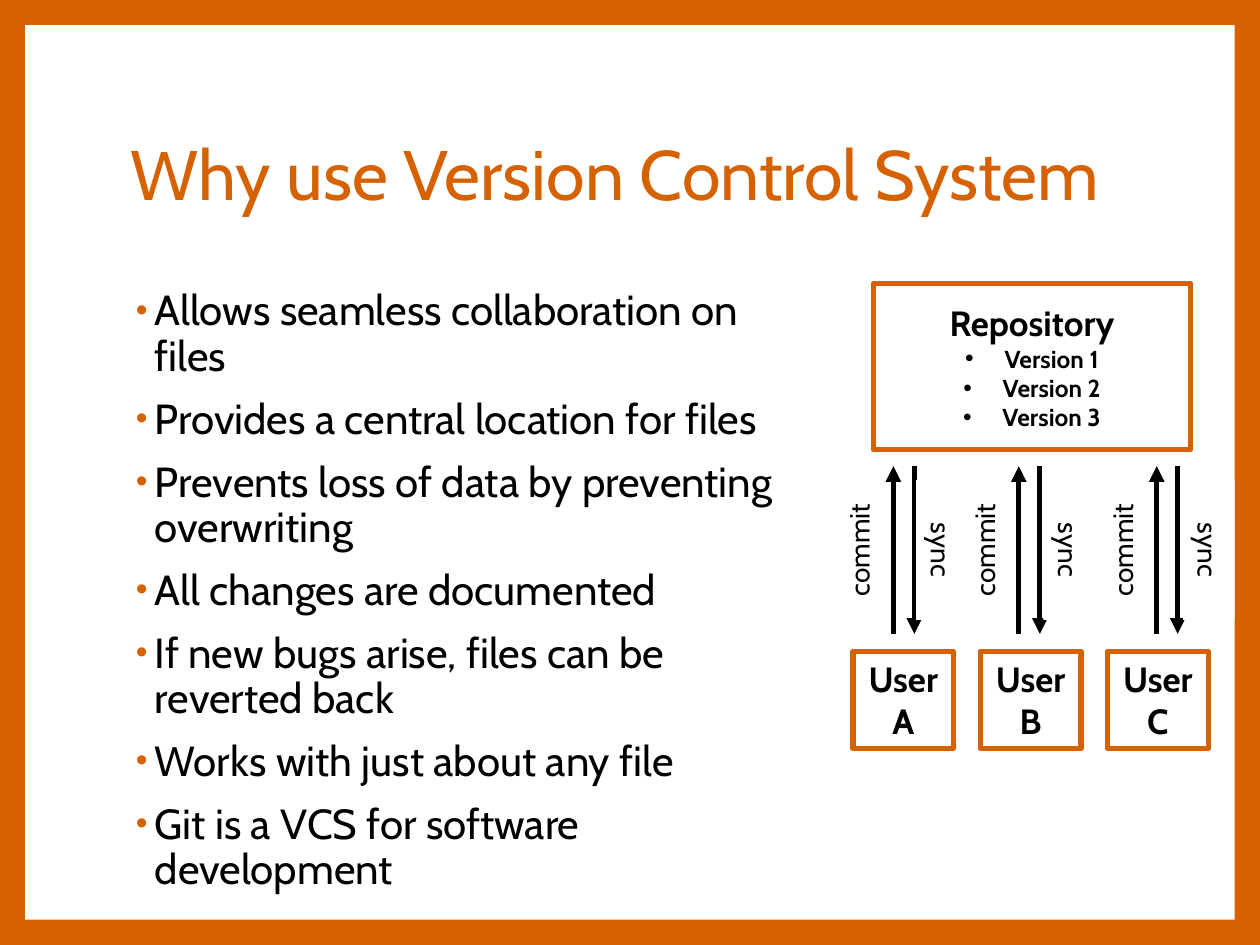
from lxml import etree
from pptx import Presentation
from pptx.dml.color import RGBColor
from pptx.enum.shapes import MSO_CONNECTOR, MSO_SHAPE
from pptx.enum.text import MSO_ANCHOR, PP_ALIGN
from pptx.oxml.ns import qn
from pptx.util import Pt

FONT = "Cabin"
ORANGE, WHITE, BLACK = "D66100", "FFFFFF", "000000"

REASONS = [
    "Allows seamless collaboration on files",
    "Provides a central location for files",
    "Prevents loss of data by preventing overwriting",
    "All changes are documented",
    "If new bugs arise, files can be reverted back",
    "Works with just about any file",
    "Git is a VCS for software development",
]
VERSIONS = ["Version 1", "Version 2", "Version 3"]
# User name, x of the commit arrow, left of the sync label
USERS = [("User A", 510.5, 523.5), ("User B", 582.2, 596.2), ("User C", 661, 676)]


def color(value):
    return RGBColor.from_string(value)


def style(para, size, ink=BLACK, bold=False, align=PP_ALIGN.LEFT):
    para.alignment = align
    font = para.font
    font.name, font.size, font.bold = FONT, Pt(size), bold
    font.color.rgb = color(ink)


def add_bullet(para, indent, hanging, ink=None, percent=None):
    props = para._p.get_or_add_pPr()
    props.set("marL", str(Pt(indent)))
    props.set("indent", str(-Pt(hanging)))
    if ink:
        tint = etree.SubElement(props, qn("a:buClr"))
        etree.SubElement(tint, qn("a:srgbClr"), val=ink)
    if percent:
        etree.SubElement(props, qn("a:buSzPct"), val=str(percent * 1000))
    etree.SubElement(props, qn("a:buFont"), typeface="Arial")
    etree.SubElement(props, qn("a:buChar"), char="•")


def add_text(page, box, anchor=MSO_ANCHOR.TOP):
    frame = page.shapes.add_textbox(*map(Pt, box)).text_frame
    frame.word_wrap = True
    frame.vertical_anchor = anchor
    return frame


def add_panel(page, box, text="", size=20, bold=True, outline=ORANGE):
    panel = page.shapes.add_shape(MSO_SHAPE.RECTANGLE, *map(Pt, box))
    panel.shadow.inherit = False
    panel.fill.solid()
    panel.fill.fore_color.rgb = color(WHITE)
    if outline:
        panel.line.color.rgb = color(outline)
        panel.line.width = Pt(3)
    else:
        panel.line.fill.background()
    frame = panel.text_frame
    frame.word_wrap = True
    frame.vertical_anchor = MSO_ANCHOR.MIDDLE
    para = frame.paragraphs[0]
    para.text = text
    style(para, size, bold=bold, align=PP_ALIGN.CENTER)
    return frame


def add_label(page, box, text, direction):
    frame = add_panel(page, box, text, size=16, bold=False, outline=None)
    frame._txBody.bodyPr.set("vert", direction)


def add_arrow(page, x, start, end):
    arrow = page.shapes.add_connector(
        MSO_CONNECTOR.STRAIGHT, Pt(x), Pt(start), Pt(x), Pt(end))
    arrow.line.color.rgb = color(BLACK)
    arrow.line.width = Pt(3)
    etree.SubElement(arrow.line._get_or_add_ln(), qn("a:tailEnd"), type="triangle")
    etree.SubElement(arrow._element.spPr, qn("a:effectLst"))


def add_title(page, box):
    para = add_text(page, box, MSO_ANCHOR.MIDDLE).paragraphs[0]
    para.text = "Why use Version Control System"
    para.line_spacing = 0.9
    style(para, 40, ORANGE)


def add_reasons(page, box):
    frame = add_text(page, box)
    for index, reason in enumerate(REASONS):
        para = frame.add_paragraph() if index else frame.paragraphs[0]
        para.text = reason
        para.line_spacing = 0.9
        if index:
            para.space_before = Pt(10)
        add_bullet(para, 13.7, 10.8, ORANGE, 80)
        style(para, 24)


def add_repository(page, box):
    frame = add_panel(page, box, "Repository")
    for version in VERSIONS:
        para = frame.add_paragraph()
        para.text = version
        add_bullet(para, 22.5, 22.5)
        style(para, 14, bold=True, align=PP_ALIGN.CENTER)


def add_users(page, box):
    left, top, width, height = box
    user_width, user_height = 57.6, 55.4
    pitch = (width - user_width) / (len(USERS) - 1)
    arrow_top, arrow_bottom = top, top + 95.8
    label_top, label_width, label_height = top + 7.9, 29.5, 79.9
    for index, (name, commit_x, sync_left) in enumerate(USERS):
        # Arrows to and from the repository
        add_arrow(page, commit_x + 12, arrow_top, arrow_bottom)
        add_arrow(page, commit_x, arrow_bottom, arrow_top)
        # User box
        add_panel(page, (left + index * pitch, top + height - user_height,
                         user_width, user_height), name)
        # Labels beside the arrows
        for text, label_left, direction in (("commit", commit_x - 34.7, "vert270"),
                                            ("sync", sync_left, "vert")):
            add_label(page, (label_left, label_top, label_width, label_height),
                      text, direction)


def main():
    deck = Presentation()
    deck.slide_width, deck.slide_height = Pt(720), Pt(540)
    page = deck.slides.add_slide(deck.slide_layouts[6])

    # Orange frame around a white sheet
    page.background.fill.solid()
    page.background.fill.fore_color.rgb = color(ORANGE)
    add_panel(page, (14.4, 14.4, 691.2, 511.2), outline=None)

    add_title(page, (67.7, 48.2, 583.2, 106.6))
    add_reasons(page, (67.7, 162, 393.1, 357.8))
    add_repository(page, (499, 162, 181.4, 95))
    add_users(page, (487.4, 266.4, 203.1, 161.3))
    deck.save("out.pptx")


if __name__ == "__main__":
    main()
